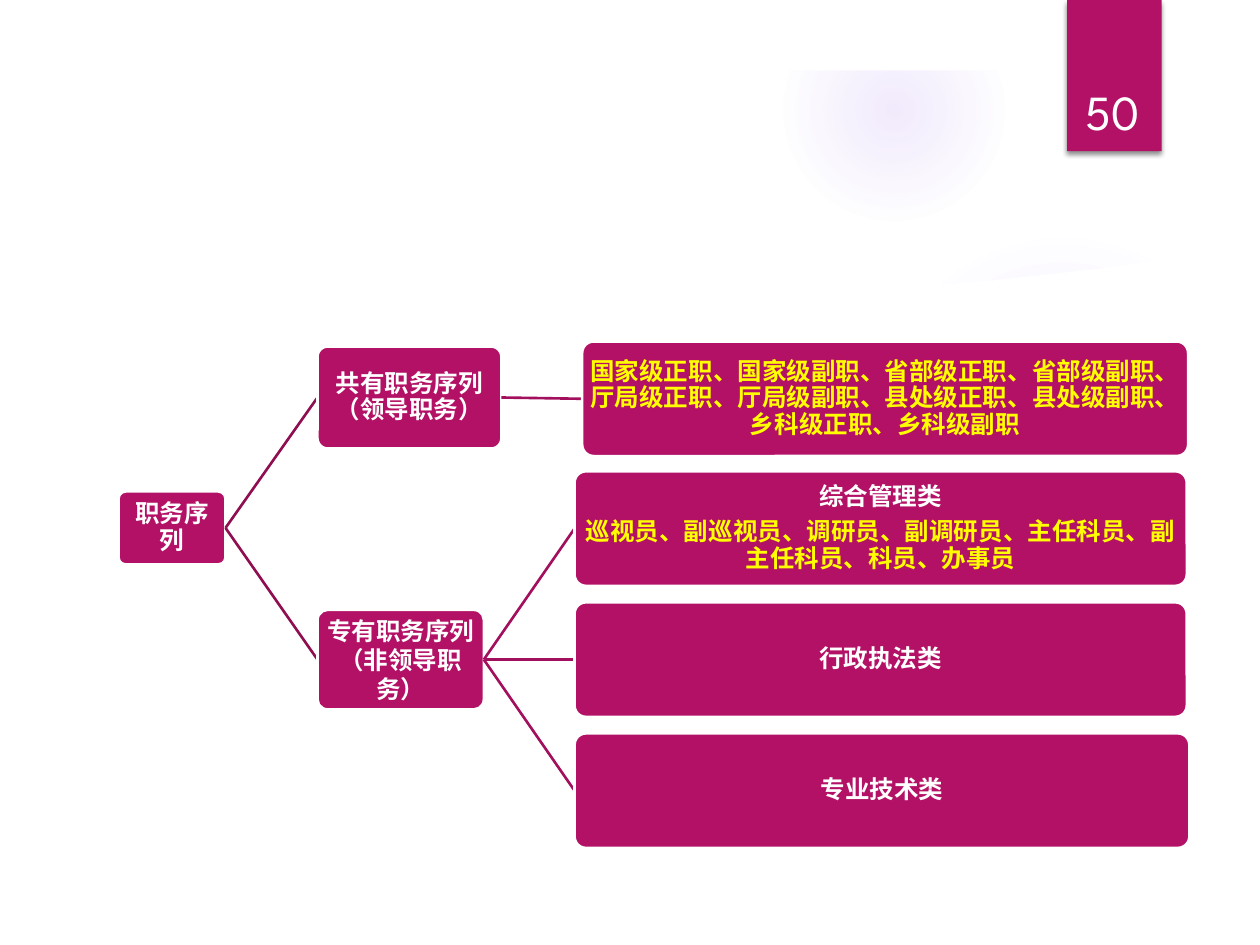
"""Builds the slide showing the tree of civil service post sequences."""
from lxml import etree
from pptx import Presentation
from pptx.dml.color import RGBColor
from pptx.enum import shapes, text
from pptx.oxml import parse_xml
from pptx.oxml.ns import nsdecls, qn
from pptx.util import Inches, Pt

MAGENTA = RGBColor(0xB3, 0x11, 0x66)
DARK_MAGENTA = RGBColor(0x8F, 0x0E, 0x52)
MID_MAGENTA = RGBColor(0xA2, 0x0F, 0x5D)
YELLOW = RGBColor(0xFF, 0xFF, 0x00)
WHITE = RGBColor(0xFF, 0xFF, 0xFF)
GLOW = RGBColor(0x9B, 0x6B, 0xF2)
FONT = "League Spartan"

deck = Presentation()
deck.slide_width, deck.slide_height = Inches(10), Inches(7.5)
slide = deck.slides.add_slide(deck.slide_layouts[6])


def add_filled(preset, left, top, width, height, color):
    shape = slide.shapes.add_shape(
        preset, Inches(left), Inches(top), Inches(width), Inches(height))
    shape.shadow.inherit = False
    shape.fill.solid()
    shape.fill.fore_color.rgb = color
    shape.line.fill.background()
    return shape


def write(shape, lines, size, bold):
    frame = shape.text_frame
    frame.word_wrap = True
    for index, (line, color) in enumerate(lines):
        paragraph = frame.paragraphs[0] if index == 0 else frame.add_paragraph()
        paragraph.text = line
        paragraph.alignment = text.PP_ALIGN.CENTER
        paragraph.font.name = FONT
        paragraph.font.size = Pt(size)
        paragraph.font.bold = bold
        paragraph.font.color.rgb = color
    return frame


glows = [
    (6.89, 1.83, 3.08, [(0, 7), (36, 6), (69, 0)]),
    (6.22, 0, 1.75, [(0, 14), (36, 7), (73, 0)]),
]
for left, top, diameter, stops in glows:
    glow = add_filled(shapes.MSO_SHAPE.OVAL, left, top, diameter, diameter, GLOW)
    stop_xml = "".join(
        f'<a:gs pos="{position * 1000}"><a:srgbClr val="{GLOW}">'
        f'<a:alpha val="{alpha * 1000}"/></a:srgbClr></a:gs>'
        for position, alpha in stops)
    gradient = parse_xml(
        f'<a:gradFill {nsdecls("a")}><a:gsLst>{stop_xml}</a:gsLst>'
        '<a:path path="circle"><a:fillToRect l="50000" t="50000" r="50000" b="50000"/>'
        '</a:path></a:gradFill>')
    solid = glow.element.spPr.find(qn("a:solidFill"))
    solid.getparent().replace(solid, gradient)

curve = [(9.47, 6.99), (9.47, 2.03), (8.66, 2.14), (7.85, 2.23), (7.04, 2.29),
         (6.25, 2.33), (5.48, 2.34), (4.74, 2.34), (4.04, 2.33), (3.38, 2.3),
         (2.77, 2.26), (2.22, 2.22), (1.32, 2.13), (0.53, 2.03)]
outline = slide.shapes.build_freeform(Inches(0.53), Inches(6.99))
outline.add_line_segments([(Inches(x), Inches(y)) for x, y in curve])
panel = outline.convert_to_shape()
panel.shadow.inherit = False
panel.fill.solid()
panel.fill.fore_color.rgb = WHITE
panel.line.fill.background()

border = add_filled(shapes.MSO_SHAPE.FRAME, 0, 0, 10, 7.5, WHITE)
border.adjustments[0] = 0.56 / 7.5

ribbon = add_filled(shapes.MSO_SHAPE.RECTANGLE, 8.47, 0, 0.75, 1.2, MAGENTA)
ribbon.element.spPr.find(qn("a:effectLst")).append(parse_xml(
    f'<a:outerShdw {nsdecls("a")} blurRad="{Pt(3)}" dist="{Pt(2)}" dir="5400000">'
    '<a:srgbClr val="000000"><a:alpha val="45000"/></a:srgbClr></a:outerShdw>'))
page_number = slide.shapes.add_textbox(
    Inches(8.4), Inches(0.32), Inches(0.86), Inches(0.84))
write(page_number, [("50", WHITE)], 28, False).vertical_anchor = text.MSO_ANCHOR.BOTTOM

posts = [
    ("root", None, 0.94, 3.9, 0.85, 0.58, [("职务序列", WHITE)]),
    ("shared", "root", 2.52, 2.75, 1.46, 0.81, [("共有职务序列（领导职务）", WHITE)]),
    ("ranks", "shared", 4.62, 2.71, 4.81, 0.91, [
        ("国家级正职、国家级副职、省部级正职、省部级副职、厅局级正职、厅局级副职、"
         "县处级正职、县处级副职、乡科级正职、乡科级副职", YELLOW)]),
    ("special", "root", 2.52, 4.84, 1.32, 0.79, [("专有职务序列（非领导职务）", WHITE)]),
    ("general", "special", 4.56, 3.74, 4.86, 0.91, [
        ("综合管理类", WHITE),
        ("巡视员、副巡视员、调研员、副调研员、主任科员、副主任科员、科员、办事员", YELLOW)]),
    ("enforcement", "special", 4.56, 4.78, 4.86, 0.91, [("行政执法类", WHITE)]),
    ("technical", "special", 4.56, 5.82, 4.88, 0.91, [("专业技术类", WHITE)]),
]
boxes = {}
for key, parent, left, top, width, height, lines in posts:
    if parent:
        branch = slide.shapes.add_connector(shapes.MSO_CONNECTOR.STRAIGHT, 0, 0, 0, 0)
        branch.line.color.rgb = DARK_MAGENTA if parent == "root" else MID_MAGENTA
        branch.line.width = Pt(1.5)
        etree.SubElement(branch.element.spPr, qn("a:effectLst"))
    box = add_filled(
        shapes.MSO_SHAPE.ROUNDED_RECTANGLE, left, top, width, height, MAGENTA)
    box.adjustments[0] = 0.1
    box.line.color.rgb = WHITE
    box.line.width = Pt(1.5)
    frame = write(box, lines, 14, True)
    frame.vertical_anchor = text.MSO_ANCHOR.MIDDLE
    frame.margin_left = frame.margin_right = Inches(0.03)
    frame.margin_top = frame.margin_bottom = Inches(0.03)
    if key != "special":
        for paragraph in frame.paragraphs:
            paragraph.line_spacing = 0.9
            paragraph.space_after = Pt(5)
    boxes[key] = box
    if parent:
        branch.begin_connect(boxes[parent], 3)
        branch.end_connect(box, 1)

deck.save("out.pptx")
